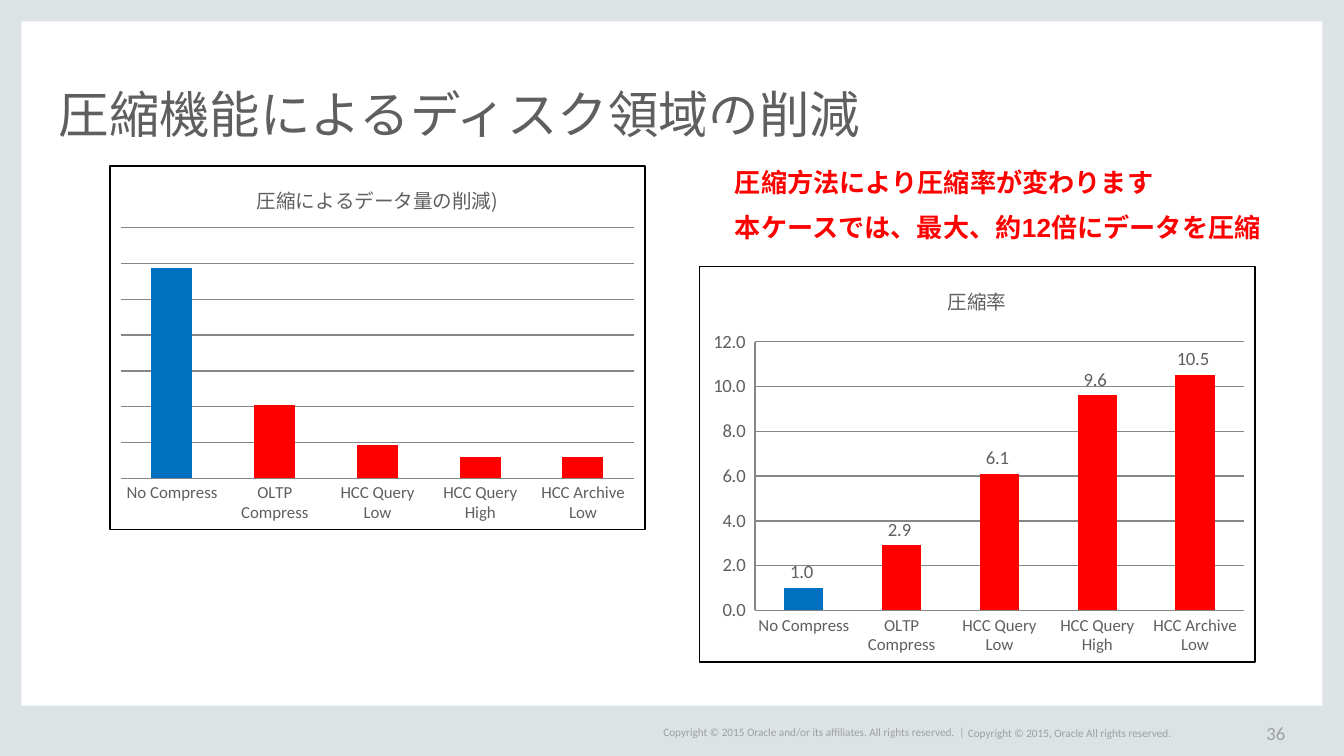
from lxml.etree import fromstring
from pptx import Presentation
from pptx.chart.data import CategoryChartData
from pptx.dml.color import RGBColor
from pptx.enum.chart import XL_CHART_TYPE, XL_LABEL_POSITION, XL_TICK_MARK
from pptx.enum.shapes import MSO_SHAPE
from pptx.enum.text import MSO_ANCHOR, PP_ALIGN
from pptx.oxml.ns import nsdecls, qn
from pptx.util import Pt

COLORS = {
    "white": "FFFFFF", "frame": "DCE3E4", "text": "5F5F5F", "footer": "9F9F9F",
    "red": "FF0000", "blue": "0070C0", "grid": "868686", "border": "000000",
}
WIDTH, HEIGHT = 720, 405
METHODS = ["No Compress", "OLTP Compress", "HCC Query Low", "HCC Query High", "HCC Archive Low"]
NUMBER_FORMAT = "#,##0.0_ "


def rgb(name):
    """Return the named colour."""
    return RGBColor.from_string(COLORS[name])


def add_rect(s, box, color):
    """Add a plain filled rectangle."""
    sp = s.shapes.add_shape(MSO_SHAPE.RECTANGLE, *map(Pt, box))
    sp.shadow.inherit = False
    sp.fill.solid()
    sp.fill.fore_color.rgb = rgb(color)
    sp.line.fill.background()


def add_text(s, box, text, size, color, font="Calibri", bold=False, inset=0, wrap=True,
             align=PP_ALIGN.LEFT, anchor=MSO_ANCHOR.TOP, line=1.0, before=0):
    """Add a text box with one paragraph for each line of text."""
    tf = s.shapes.add_textbox(*map(Pt, box)).text_frame
    tf.word_wrap = wrap
    tf.vertical_anchor = anchor
    tf.margin_left = tf.margin_right = tf.margin_top = tf.margin_bottom = Pt(inset)
    for i, content in enumerate(text.split("\n")):
        p = tf.add_paragraph() if i else tf.paragraphs[0]
        p.alignment = align
        p.line_spacing = line
        p.space_before = Pt(before if i else 0)
        r = p.add_run()
        r.text = content
        r.font.size, r.font.name, r.font.bold = Pt(size), font, bold
        r.font.color.rgb = rgb(color)


def add_frame(s, box):
    """Draw the border bands around the slide."""
    x, y, w, h = box
    side, foot = 11.5, 27
    add_rect(s, (x, y, side, h), "frame")
    add_rect(s, (x + w - side, y, side, h), "frame")
    add_rect(s, (x, y + h - foot, w, foot), "frame")
    add_rect(s, (x, y, w, side), "frame")


def add_footer(s, box):
    """Write the copyright lines and the page number."""
    x, y, w, h = box
    style = {"color": "footer", "wrap": False, "anchor": MSO_ANCHOR.MIDDLE}
    add_text(s, (x, y, 165, h),
             "Copyright © 2015 Oracle and/or its affiliates. All rights reserved.\u00a0 |",
             6, align=PP_ALIGN.CENTER, line=0.9, **style)
    add_text(s, (x + 165, y, 147, h), "Copyright © 2015, Oracle All rights reserved.", 6, **style)
    add_text(s, (x + w - 22, y, 22, h), "36", 10, align=PP_ALIGN.RIGHT, **style)


def set_chart_frame(chart, layout):
    """Give the chart a border and place its inner plot area by fractions."""
    space = chart._chartSpace
    space.find(qn("c:txPr")).addprevious(fromstring(
        f'<c:spPr {nsdecls("c", "a")}><a:solidFill><a:srgbClr val="{COLORS["white"]}"/></a:solidFill>'
        f'<a:ln w="{Pt(0.75)}"><a:solidFill><a:srgbClr val="{COLORS["border"]}"/></a:solidFill></a:ln>'
        '</c:spPr>'))
    plot_area = space.find(qn("c:chart")).find(qn("c:plotArea"))
    for old in plot_area.findall(qn("c:layout")):
        plot_area.remove(old)
    modes = '<c:layoutTarget val="inner"/><c:xMode val="edge"/><c:yMode val="edge"/>'
    sizes = "".join(f'<c:{k} val="{v}"/>' for k, v in zip("xywh", layout))
    plot_area.insert(0, fromstring(
        f'<c:layout {nsdecls("c")}><c:manualLayout>{modes}{sizes}</c:manualLayout></c:layout>'))


def add_column_chart(s, box, title, values, top, step, layout, labelled):
    """Add a column chart with the uncompressed baseline in blue."""
    data = CategoryChartData(number_format=NUMBER_FORMAT)
    data.categories = METHODS
    data.add_series("Series 1", values)
    chart = s.shapes.add_chart(XL_CHART_TYPE.COLUMN_CLUSTERED, *map(Pt, box), data).chart
    chart.has_legend = False
    chart.font.size, chart.font.name = Pt(10), "Calibri"
    chart.font.color.rgb = rgb("text")
    set_chart_frame(chart, layout)

    chart.has_title = True
    p = chart.chart_title.text_frame.paragraphs[0]
    r = p.add_run()
    r.text = title
    r.font.size, r.font.name, r.font.bold = Pt(10.5), "Noto Sans CJK JP", False
    r.font.color.rgb = rgb("text")
    chart.chart_title.include_in_layout = False

    plot = chart.plots[0]
    plot.vary_by_categories = False
    plot.gap_width = 150
    series = plot.series[0]
    for fill, color in ((series.format.fill, "red"), (series.points[0].format.fill, "blue")):
        fill.solid()
        fill.fore_color.rgb = rgb(color)
    if labelled:
        labels = series.data_labels
        labels.show_value = True
        labels.number_format, labels.number_format_is_linked = NUMBER_FORMAT, False
        labels.position = XL_LABEL_POSITION.OUTSIDE_END

    cat, val = chart.category_axis, chart.value_axis
    cat.tick_labels.font.size = Pt(9)
    val.minimum_scale, val.maximum_scale, val.major_unit = 0, top, step
    val.has_major_gridlines = True
    val.tick_labels.number_format = NUMBER_FORMAT
    val.tick_labels.number_format_is_linked = False
    val.visible = labelled
    for axis in (cat, val):
        axis.major_tick_mark = axis.minor_tick_mark = XL_TICK_MARK.NONE
    for fmt in (cat.format, val.format, val.major_gridlines.format):
        fmt.line.color.rgb = rgb("grid")
        fmt.line.width = Pt(0.75)


def main():
    """Build the slide and save it."""
    prs = Presentation()
    prs.slide_width, prs.slide_height = Pt(WIDTH), Pt(HEIGHT)
    s = prs.slides.add_slide(prs.slide_layouts[6])
    add_frame(s, (0, 0, WIDTH, HEIGHT))
    add_text(s, (31.5, 24, 657, 52.5), "圧縮機能によるディスク領域の削減", 27, "text",
             anchor=MSO_ANCHOR.BOTTOM, line=0.8)
    add_text(s, (388, 85, 332, 134), "圧縮方法により圧縮率が変わります\n本ケースでは、最大、約12倍にデータを圧縮",
             14, "red", font="Arial", bold=True, inset=5.75, line=0.9, before=9)
    add_rect(s, (377.5, 66, 14.5, 38), "white")
    add_column_chart(s, (58.5, 88.5, 287.5, 195.5), "圧縮によるデータ量の削減)", [100, 35, 16, 10, 10],
                     top=119, step=17, layout=(0.02, 0.17, 0.96, 0.69), labelled=False)
    add_column_chart(s, (374.25, 142.5, 298.5, 212.5), "圧縮率", [1, 2.9, 6.1, 9.6, 10.5],
                     top=12, step=2, layout=(0.1, 0.19, 0.88, 0.68), labelled=True)
    add_footer(s, (353.5, 387, 335, 11))
    prs.save("out.pptx")


if __name__ == "__main__":
    main()
